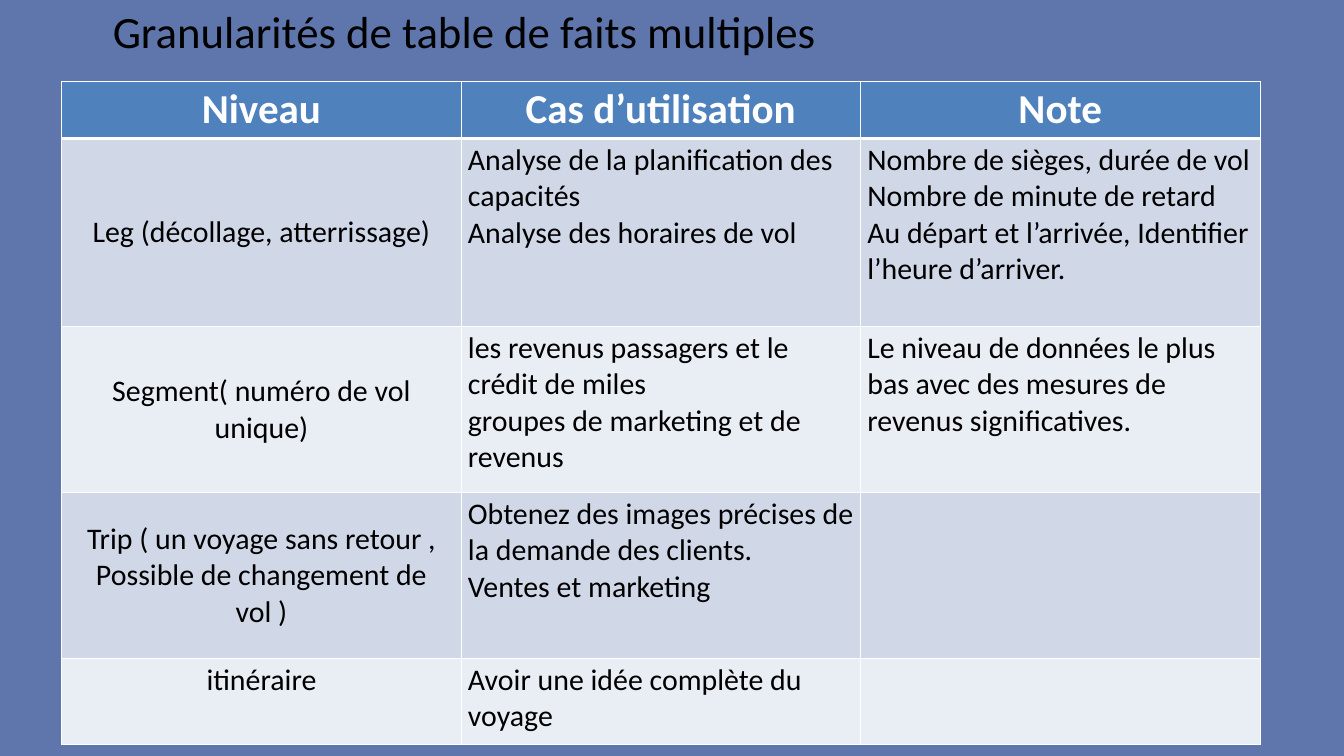
import pptx
import pptx.util
import pptx.dml.color
import pptx.enum.text
import pptx.oxml
import pptx.oxml.ns

Inches = pptx.util.Inches
ALIGN = pptx.enum.text.PP_ALIGN
ANCHOR = pptx.enum.text.MSO_ANCHOR

# Content: each cell is a list of paragraphs
TITLE = "Granularités de table de faits multiples"
HEADS = ["Niveau", "Cas d’utilisation", " Note "]
ROWS = [
    (["Leg (décollage, atterrissage)"],
     ["Analyse de la planification des capacités",
      "Analyse des horaires de vol"],
     ["Nombre de sièges, durée de vol",
      "Nombre de minute de retard",
      "Au départ et l’arrivée, Identifier l’heure d’arriver."]),
    (["Segment( numéro de vol unique)"],
     ["les revenus passagers et le crédit de miles",
      "groupes de marketing et de revenus"],
     ["Le niveau de données le plus bas avec des mesures de "
      "revenus significatives."]),
    (["Trip ( un voyage sans retour ,",
      "Possible de changement de vol )"],
     ["Obtenez des images précises de la demande des clients.",
      "Ventes et marketing"],
     []),
    (["itinéraire"],
     ["Avoir une idée complète du voyage"],
     []),
]
HEIGHTS = [0.85, 2.8, 2.47, 2.47, 1.28]
WIDTH = 17.83
BANDS = ["D0D8E8", "E9EDF4"]


def color(code):
    return pptx.dml.color.RGBColor.from_string(code)


def write(frame, lines, size=32, ink="000000", bold=False, align=ALIGN.LEFT):
    frame.word_wrap = True
    for i, line in enumerate(lines):
        para = frame.paragraphs[0] if i == 0 else frame.add_paragraph()
        para.alignment = align
        run = para.add_run()
        run.text = line
        font = run.font
        font.name = "Calibri"
        font.size = pptx.util.Pt(size)
        font.bold = bold
        font.color.rgb = color(ink)


def border(cell, **widths):
    props = cell._tc.get_or_add_tcPr()
    for side in "LRTB":
        width = pptx.util.Pt(widths.get(side, 1))
        props.append(pptx.oxml.parse_xml(
            f'<a:ln{side} {pptx.oxml.ns.nsdecls("a")} w="{width}">'
            '<a:solidFill><a:srgbClr val="FFFFFF"/></a:solidFill>'
            f'</a:ln{side}>'))


def paint(cell, fill):
    cell.fill.solid()
    cell.fill.fore_color.rgb = color(fill)


deck = pptx.Presentation()
deck.slide_width, deck.slide_height = Inches(20), Inches(11.25)
slide = deck.slides.add_slide(deck.slide_layouts[6])
slide.background.fill.solid()
slide.background.fill.fore_color.rgb = color("5E76AB")

# Title
box = slide.shapes.add_textbox(
    Inches(1.58), Inches(0), Inches(15.83), Inches(0.91))
write(box.text_frame, [TITLE], size=48)

# Table grid
table = slide.shapes.add_table(
    len(HEIGHTS), len(HEADS), Inches(0.92), Inches(1.21),
    Inches(WIDTH), Inches(sum(HEIGHTS))).table
for col in table.columns:
    col.width = Inches(WIDTH / len(HEADS))
for row, high in zip(table.rows, HEIGHTS):
    row.height = Inches(high)

# Header row
for c, head in enumerate(HEADS):
    cell = table.cell(0, c)
    border(cell, B=3)
    paint(cell, "4F81BD")
    cell.vertical_anchor = ANCHOR.MIDDLE
    write(cell.text_frame, [head], size=44, ink="FFFFFF", bold=True,
          align=ALIGN.CENTER)

# Body rows: level names centred, the last one at the top
for r, row in enumerate(ROWS, 1):
    for c, lines in enumerate(row):
        cell = table.cell(r, c)
        border(cell, T=3 if r == 1 else 1)
        paint(cell, BANDS[(r - 1) % 2])
        mid = c == 0 and r < len(ROWS)
        cell.vertical_anchor = ANCHOR.MIDDLE if mid else ANCHOR.TOP
        write(cell.text_frame, lines,
              align=ALIGN.CENTER if c == 0 else ALIGN.LEFT)

deck.save("out.pptx")
